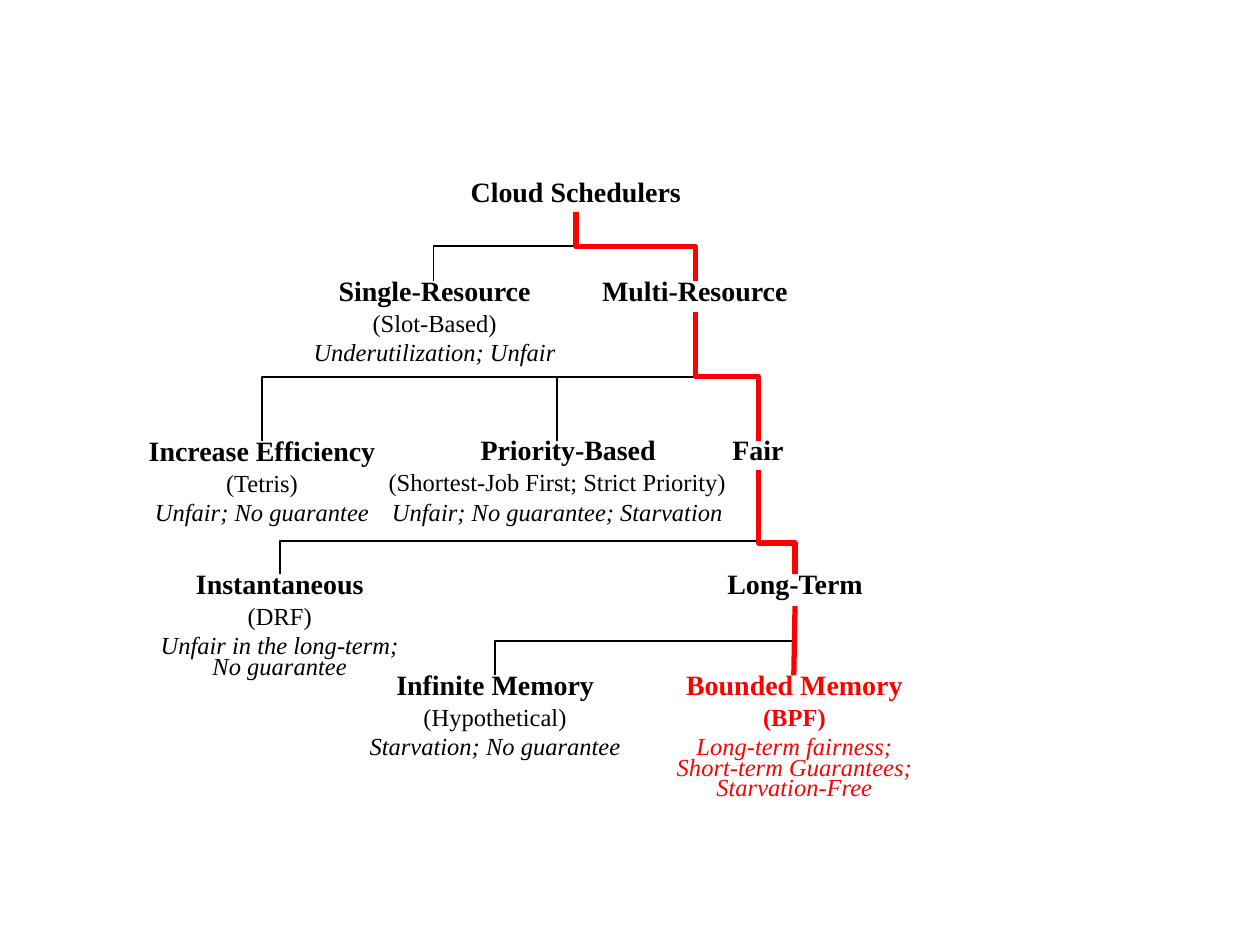
from lxml import etree
from pptx import Presentation
from pptx.dml.color import RGBColor
from pptx.enum.shapes import MSO_CONNECTOR
from pptx.enum.text import PP_ALIGN
from pptx.oxml.ns import qn
from pptx.util import Inches, Pt

ELBOW = MSO_CONNECTOR.ELBOW
STRAIGHT = MSO_CONNECTOR.STRAIGHT
CENTER = PP_ALIGN.CENTER
BLACK = "000000"
RED = "FF0000"


def color(hex_text):
    return RGBColor.from_string(hex_text)


def add_line(kind, x1, y1, x2, y2, line_color):
    line = page.shapes.add_connector(kind, Inches(x1), Inches(y1), Inches(x2), Inches(y2))
    line.line.color.rgb = color(line_color)
    line.line.width = Pt(3 if line_color == RED else 1)
    etree.SubElement(line._element.spPr, qn("a:effectLst"))
    return line


deck = Presentation()
deck.slide_width = Inches(10)
deck.slide_height = Inches(7.5)
page = deck.slides.add_slide(deck.slide_layouts[6])

branches = [
    (6.02, 3.73, 2.22, 4.56, 0.68, BLACK),
    (4.57, 1.68, 3.44, 2.23, 0.5, BLACK),
    (4.57, 1.68, 5.52, 2.23, 0.5, RED),
    (5.52, 2.48, 2.08, 3.5, 0.5, BLACK),
    (5.52, 2.48, 4.42, 3.5, 0.5, BLACK),
    (5.52, 2.48, 6.02, 3.5, 0.5, RED),
    (6.02, 3.73, 6.31, 4.56, 0.7, RED),
    (6.31, 4.81, 3.93, 5.36, 0.5, BLACK),
]
for x1, y1, x2, y2, bend, line_color in branches:
    drop, run = y2 - y1, abs(x2 - x1)
    left, top = (x1 + x2 - drop) / 2, (y1 + y2 - run) / 2
    branch = add_line(ELBOW, left, top, left + drop, top + run, line_color)
    frame = branch._element.spPr.find(qn("a:xfrm"))
    if x2 > x1:
        frame.set("rot", str(270 * 60000))
        frame.set("flipH", "1")
    else:
        frame.set("rot", str(90 * 60000))
    guides = branch._element.spPr.find(qn("a:prstGeom")).find(qn("a:avLst"))
    guide = etree.SubElement(guides, qn("a:gd"))
    guide.set("name", "adj1")
    guide.set("fmla", f"val {round(bend * 100000)}")

add_line(STRAIGHT, 6.31, 4.81, 6.3, 5.36, RED)

nodes = [
    (3.39, 1.45, 2.36, 0.23, BLACK, ["Cloud Schedulers"]),
    (4.63, 2.23, 1.77, 0.25, BLACK, ["Multi-Resource"]),
    (2, 2.23, 2.9, 0.71, BLACK,
     ["Single-Resource", "(Slot-Based)", "Underutilization; Unfair"]),
    (1.03, 3.5, 2.1, 0.81, BLACK,
     ["Increase Efficiency", "(Tetris)", "Unfair; No guarantee"]),
    (3.06, 3.5, 2.73, 0.76, BLACK,
     ["Priority-Based", "(Shortest-Job First; Strict Priority)",
      "Unfair; No guarantee; Starvation"]),
    (5.27, 3.5, 1.49, 0.23, BLACK, ["Fair"]),
    (1.17, 4.56, 2.1, 0.99, BLACK,
     ["Instantaneous", "(DRF)", "Unfair in the long-term; No guarantee"]),
    (5.17, 4.56, 2.28, 0.26, BLACK, ["Long-Term"]),
    (2.88, 5.36, 2.1, 0.99, BLACK,
     ["Infinite Memory", "(Hypothetical)", "Starvation; No guarantee"]),
    (5.29, 5.36, 2.03, 0.99, RED,
     ["Bounded Memory", "(BPF)",
      "Long-term fairness; Short-term Guarantees; Starvation-Free"]),
]
for left, top, width, height, text_color, texts in nodes:
    box = page.shapes.add_textbox(Inches(left), Inches(top), Inches(width), Inches(height))
    text_frame = box.text_frame
    text_frame.word_wrap = True
    text_frame.margin_left = text_frame.margin_right = Inches(0.01)
    text_frame.margin_top = text_frame.margin_bottom = Inches(0.01)
    for level, text in enumerate(texts):
        para = text_frame.paragraphs[0] if level == 0 else text_frame.add_paragraph()
        para.alignment = CENTER
        para.line_spacing = 0.7
        properties = para._p.get_or_add_pPr()
        space_after = etree.SubElement(properties, qn("a:spcAft"))
        etree.SubElement(space_after, qn("a:spcPct")).set("val", "35000")
        if text == "Priority-Based":
            properties.set("marL", str(Inches(0.17)))
            properties.set("indent", "0")
        span = para.add_run()
        span.text = text
        span.font.name = "Times New Roman"
        span.font.size = Pt(16 if level == 0 else 14)
        span.font.bold = level == 0 or (level == 1 and text_color == RED)
        span.font.italic = level == 2
        span.font.color.rgb = color(text_color)

deck.save("out.pptx")
